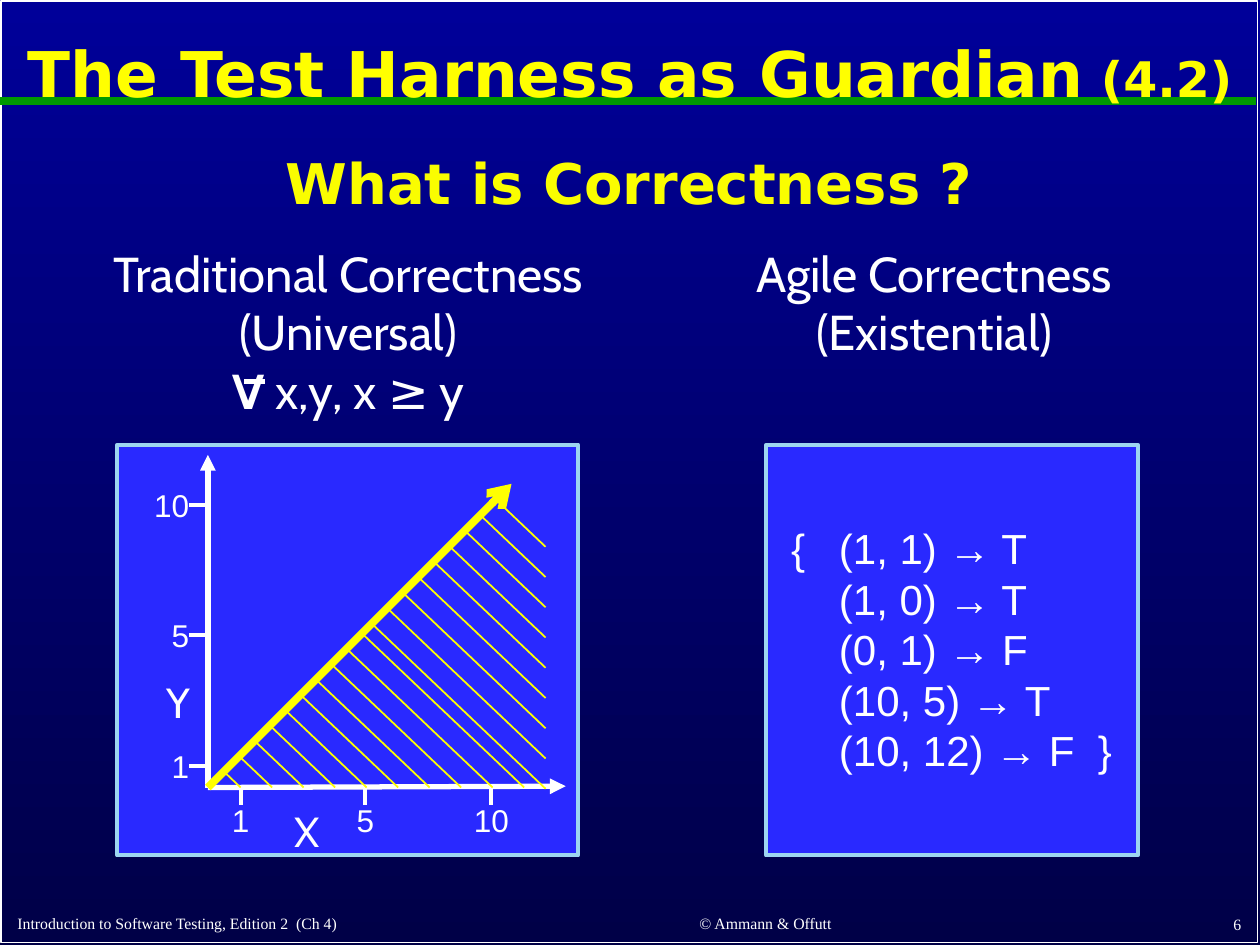
from typing import NamedTuple

from lxml import etree
from pptx import Presentation
from pptx import util as u
from pptx.dml.color import RGBColor
from pptx.enum import shapes, text
from pptx.oxml import ns

WHITE, YELLOW, GREEN = "FFFFFF", "FFFF00", "009900"
PANEL, PANEL_EDGE = "2929FF", "9DD5F1"
LEFT, CENTER, RIGHT = text.PP_ALIGN.LEFT, text.PP_ALIGN.CENTER, text.PP_ALIGN.RIGHT


class Area(NamedTuple):
    left: float
    top: float
    width: float
    height: float


class Span(NamedTuple):
    text: str
    format: dict


class Label(NamedTuple):
    area: Area
    lines: list  # one list of spans for each paragraph
    align: text.PP_ALIGN = CENTER
    footer: bool = False


class Stroke(NamedTuple):
    start: tuple
    end: tuple
    color: str
    weight: float
    arrow: str = ""


def rgb(color: str) -> RGBColor:
    return RGBColor.from_string(color)


def font(name: str, size: float, color: str = WHITE, bold: bool = False) -> dict:
    return {"name": name, "size": u.Pt(size), "bold": bold, "color": color}


def inches(area: Area) -> list:
    return [u.Inches(value) for value in area]


def write(para, spans: list, align: text.PP_ALIGN) -> None:
    para.alignment = align
    for part in spans:
        span = para.add_run()
        span.text = part.text
        for key, value in part.format.items():
            if key == "color":
                span.font.color.rgb = rgb(value)
            else:
                setattr(span.font, key, value)


def add_label(page, label: Label):
    box = page.shapes.add_textbox(*inches(label.area))
    frame = box.text_frame
    frame.word_wrap = False
    if label.footer:
        frame.vertical_anchor = text.MSO_ANCHOR.BOTTOM
    else:
        frame.auto_size = text.MSO_AUTO_SIZE.SHAPE_TO_FIT_TEXT
    for index, spans in enumerate(label.lines):
        para = frame.add_paragraph() if index else frame.paragraphs[0]
        write(para, spans, label.align)
    return box


def add_stroke(page, stroke: Stroke) -> None:
    ends = [u.Inches(value) for value in (*stroke.start, *stroke.end)]
    line = page.shapes.add_connector(shapes.MSO_CONNECTOR.STRAIGHT, *ends)
    line.line.color.rgb = rgb(stroke.color)
    line.line.width = u.Pt(stroke.weight)
    properties = line.element.spPr
    if stroke.arrow:
        outline = properties.find(ns.qn("a:ln"))
        etree.SubElement(outline, ns.qn("a:tailEnd"), type=stroke.arrow)
    etree.SubElement(properties, ns.qn("a:effectLst"))


def add_rectangle(page, area: Area, edge: str, weight: float, fill: str = "") -> None:
    box = page.shapes.add_shape(shapes.MSO_SHAPE.RECTANGLE, *inches(area))
    box.shadow.inherit = False
    if fill:
        box.fill.solid()
        box.fill.fore_color.rgb = rgb(fill)
    else:
        box.fill.background()
    box.line.color.rgb = rgb(edge)
    box.line.width = u.Pt(weight)


def add_frame_and_title(page) -> None:
    fill = page.background.fill
    fill.gradient()
    fill.gradient_angle = 270
    for stop, color in zip(fill.gradient_stops, ("000099", "000047")):
        stop.color.rgb = rgb(color)
    add_rectangle(page, Area(0.01, 0.01, 9.97, 7.47), WHITE, 1)
    add_stroke(page, Stroke((0, 0.8), (9.97, 0.8), GREEN, 4.5))

    title = page.shapes.title
    title.left, title.top, title.width, title.height = inches(Area(0.05, 0.11, 9.9, 1))
    title.text_frame.vertical_anchor = text.MSO_ANCHOR.MIDDLE
    para = title.text_frame.paragraphs[0]
    para.line_spacing = 0.9
    write(para, [Span("The Test Harness as Guardian", font("DejaVu Sans", 36, YELLOW, True)),
                 Span(" (4.2)", font("DejaVu Sans", 28, YELLOW, True))], CENTER)
    page.shapes.element.append(title.element)  # the title lies over the green rule


def add_footers(page) -> None:
    small = font("Times New Roman", 9)
    for area, words, align in (
        (Area(0.04, 7.18, 4.2, 0.27), "Introduction to Software Testing, Edition 2  (Ch 4)", LEFT),
        (Area(4.49, 7.17, 3.17, 0.28), "© Ammann & Offutt", CENTER),
        (Area(7.87, 7.17, 2.08, 0.29), "6", RIGHT),
    ):
        add_label(page, Label(area, [[Span(words, small)]], align, True))


def add_chart_panel(page) -> None:
    add_rectangle(page, Area(0.93, 3.53, 3.66, 3.26), PANEL_EDGE, 2.25, PANEL)
    origin = (1.65, 6.25)
    right_end, diagonal_sum, slope = 4.33, 7.93, 0.95

    # Axes and their names
    for end in ((4.49, 6.24), (1.65, 3.61)):
        add_stroke(page, Stroke(origin, end, WHITE, 3, "triangle"))
    for name, area in (("X", Area(2.24, 6.34, 0.31, 0.36)), ("Y", Area(1.22, 5.32, 0.29, 0.36))):
        add_label(page, Label(area, [[Span(name, font("Cabin", 24))]]))

    # Ticks and their numbers
    number = font("Arial", 18)
    for value, x, y in (("1", 1.91, 6.08), ("5", 2.9, 5.04), ("10", 3.9, 4.01)):
        width = 0.34 if len(value) == 1 else 0.48
        add_stroke(page, Stroke((x, 6.23), (x, 6.39), WHITE, 2.25))
        add_stroke(page, Stroke((1.66, y), (1.5, y), WHITE, 2.25))
        spans = [[Span(value, number)]]
        add_label(page, Label(Area(x - width / 2, 6.31, width, 0.4), spans))
        add_label(page, Label(Area(1.6 - width, y - 0.2, width, 0.4), spans, RIGHT))

    # Diagonal, with hatching from the x axis and from the right edge
    add_stroke(page, Stroke(origin, (4.06, 3.84), YELLOW, 4.5, "arrow"))
    starts = [(1.91 + 0.25 * step, origin[1]) for step in range(10)]
    starts += [(right_end, 4.34 + 0.24 * step) for step in range(9)]
    for x, y in starts:
        run = (x + y - diagonal_sum) / (1 + slope)
        add_stroke(page, Stroke((x, y), (x - run, y - slope * run), YELLOW, 1))


def add_example_panel(page) -> None:
    add_rectangle(page, Area(6.08, 3.53, 2.95, 3.26), PANEL_EDGE, 2.25, PANEL)
    rows = ("{\t(1, 1) → T", "(1, 0) → T", "(0, 1) → F", "(10, 5) → T", "(10, 12) → F  }")
    lines = [[Span(row, font("Arial", 24))] for row in rows]
    box = add_label(page, Label(Area(6.18, 4.1, 2.75, 2.12), lines, LEFT))
    indent = u.Inches(0.38)
    for index, para in enumerate(box.text_frame.paragraphs):
        properties = para._p.get_or_add_pPr()
        properties.set("marL", str(indent))
        properties.set("indent", str(0 if index else -indent))


def main() -> None:
    deck = Presentation()
    deck.slide_width, deck.slide_height = u.Inches(10), u.Inches(7.5)
    page = deck.slides.add_slide(deck.slide_layouts[5])
    add_frame_and_title(page)
    add_footers(page)

    # Question and the agile heading
    heading = font("Cabin", 28)
    question = Span("What is Correctness ?", font("DejaVu Sans", 32, "FAFD00", True))
    add_label(page, Label(Area(2.15, 1.13, 5.69, 0.64), [[question]]))
    add_label(page, Label(Area(5.88, 1.88, 3.07, 1.04), [
        [Span("Agile Correctness", heading)], [Span("(Existential)", heading)]]))

    add_chart_panel(page)

    # Traditional heading; a bar across the V makes the "for all" sign
    add_label(page, Label(Area(0.78, 1.88, 3.97, 1.51), [
        [Span("Traditional Correctness", heading)], [Span("(Universal)", heading)],
        [Span("V ", font("Cabin", 28, bold=True)), Span("x,y, x ≥ y", heading)]]))
    add_stroke(page, Stroke((1.94, 3.03), (2.1, 3.03), WHITE, 3))

    add_example_panel(page)
    deck.save("out.pptx")


if __name__ == "__main__":
    main()
